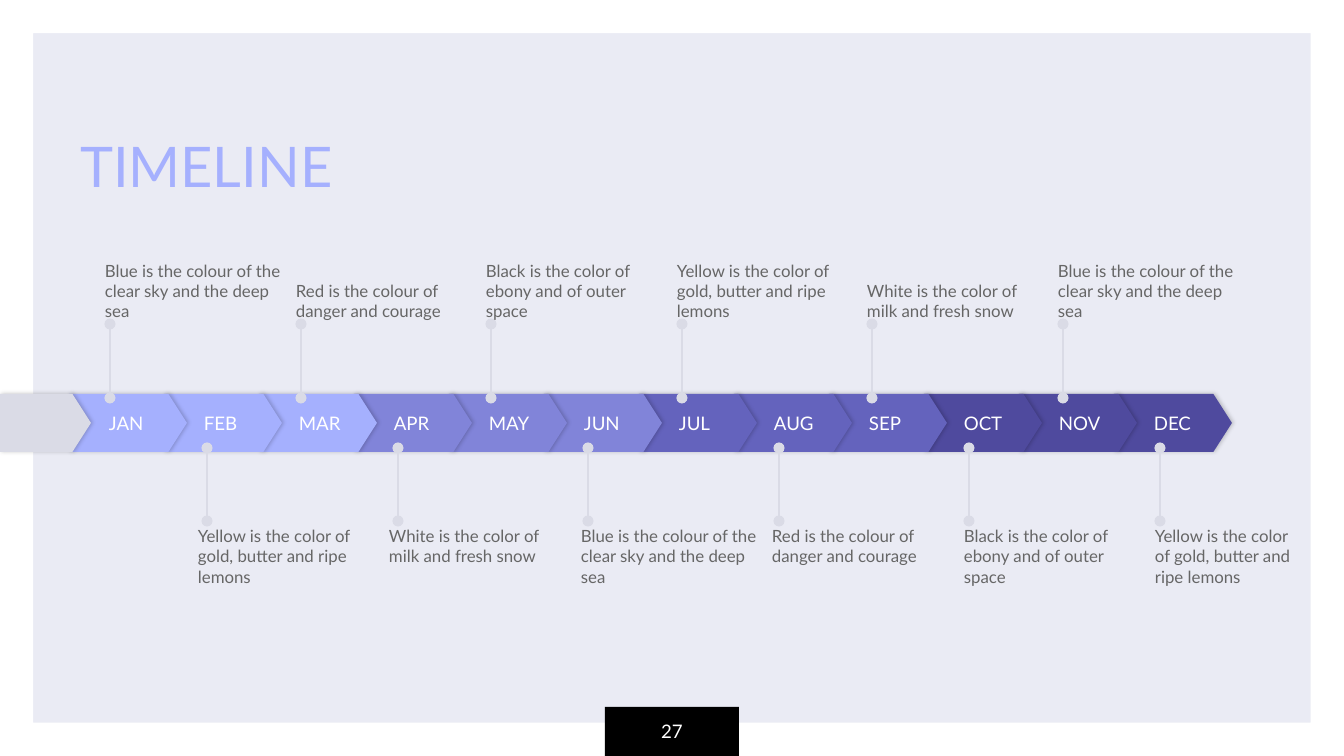
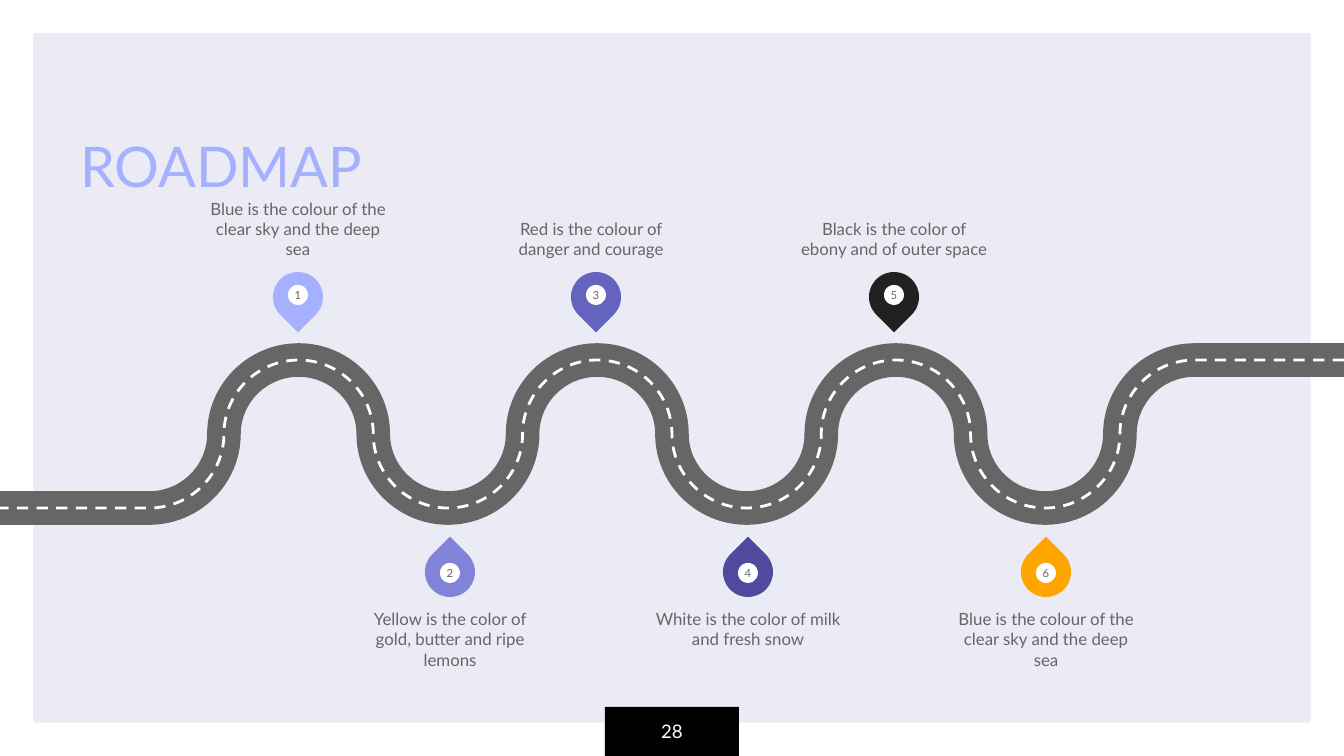
from pptx import Presentation
from pptx.dml.color import RGBColor
from pptx.enum.dml import MSO_LINE
from pptx.enum.shapes import MSO_CONNECTOR, MSO_SHAPE
from pptx.enum.text import MSO_ANCHOR, PP_ALIGN
from pptx.oxml.ns import qn
from pptx.oxml.xmlchemy import OxmlElement
from pptx.util import Emu, Pt

SLIDE_W, SLIDE_H = 1344, 756
PX = 9144000 / SLIDE_W

LAVENDER = RGBColor(0xEA, 0xEB, 0xF4)
SILVER = RGBColor(0xDA, 0xDB, 0xE6)
PERIWINKLE = RGBColor(0xA5, 0xB0, 0xFE)
VIOLET = RGBColor(0x81, 0x84, 0xD9)
INDIGO = RGBColor(0x64, 0x63, 0xBD)
PURPLE = RGBColor(0x4F, 0x4A, 0x9E)
ORANGE = RGBColor(0xFF, 0xA5, 0x00)
INK = RGBColor(0x21, 0x21, 0x21)
GREY = RGBColor(0x66, 0x66, 0x66)
WHITE = RGBColor(0xFF, 0xFF, 0xFF)
BLACK = RGBColor(0x00, 0x00, 0x00)

FONT = "Lato"
LEFT, CENTER = PP_ALIGN.LEFT, PP_ALIGN.CENTER
TOP, MIDDLE, BOTTOM = MSO_ANCHOR.TOP, MSO_ANCHOR.MIDDLE, MSO_ANCHOR.BOTTOM
FRAME, RECT = MSO_SHAPE.FRAME, MSO_SHAPE.RECTANGLE
OVAL, TEAR, PLATE = MSO_SHAPE.OVAL, MSO_SHAPE.TEAR, MSO_SHAPE.PENTAGON
STRAIGHT, DASH = MSO_CONNECTOR.STRAIGHT, MSO_LINE.DASH

BLUE_TEXT = "Blue is the colour of the clear sky and the deep sea"
RED_TEXT = "Red is the colour of danger and courage"
BLACK_TEXT = "Black is the color of ebony and of outer space"
YELLOW_TEXT = "Yellow is the color of gold, butter and ripe lemons"
WHITE_TEXT = "White is the color of milk and fresh snow"

MONTHS = ["JAN", "FEB", "MAR", "APR", "MAY", "JUN",
          "JUL", "AUG", "SEP", "OCT", "NOV", "DEC"]
QUARTER_COLORS = [PERIWINKLE, VIOLET, INDIGO, PURPLE]
UPPER_NOTES = [BLUE_TEXT, RED_TEXT, BLACK_TEXT, YELLOW_TEXT, WHITE_TEXT, BLUE_TEXT]
LOWER_NOTES = [YELLOW_TEXT, WHITE_TEXT, BLUE_TEXT, RED_TEXT, BLACK_TEXT, YELLOW_TEXT]

# Pin colour, note, sideways shift of the note
MILESTONES = [
    (PERIWINKLE, BLUE_TEXT, 0),
    (VIOLET, YELLOW_TEXT, 0),
    (INDIGO, RED_TEXT, -5),
    (PURPLE, WHITE_TEXT, 0),
    (INK, BLACK_TEXT, 0),
    (ORANGE, BLUE_TEXT, 0),
]


def px(value):
    return Emu(round(value * PX))


def spread(first, last, count):
    """Evenly spaced positions from first to last."""
    return [round(first + i * (last - first) / (count - 1)) for i in range(count)]


def write(sp, text, size, color, align=LEFT, anchor=MIDDLE, inset=0, left=None):
    tf = sp.text_frame
    tf.word_wrap = True
    tf.vertical_anchor = anchor
    tf.margin_top = tf.margin_right = tf.margin_bottom = px(inset)
    tf.margin_left = px(inset if left is None else left)
    p = tf.paragraphs[0]
    p.text = text
    p.alignment = align
    p.font.name, p.font.size = FONT, Pt(size)
    p.font.color.rgb = color


def add_text(s, x, y, w, h, text, size, color, **layout):
    sp = s.shapes.add_textbox(px(x), px(y), px(w), px(h))
    write(sp, text, size, color, **layout)


def add_shape(shapes, kind, x, y, w, h, color):
    sp = shapes.add_shape(kind, px(x), px(y), px(w), px(h))
    sp.shadow.inherit = False
    sp.fill.solid()
    sp.fill.fore_color.rgb = color
    sp.line.fill.background()
    return sp


def add_child(parent, tag, **attributes):
    child = OxmlElement(tag)
    for name, value in attributes.items():
        child.set(name, value)
    parent.append(child)
    return child


def base_slide(prs, title, number):
    s = prs.slides.add_slide(prs.slide_layouts[6])
    # White border
    frame = add_shape(s.shapes, FRAME, 0, 0, SLIDE_W, SLIDE_H, WHITE)
    frame.adjustments[0] = 0.044
    # Page number tab
    tab = add_shape(s.shapes, RECT, 605, 707, 134, 49, BLACK)
    write(tab, number, 10, WHITE, align=CENTER)
    # Title
    add_text(s, 67, 86, 755, 126, title, 30, PERIWINKLE, anchor=BOTTOM, inset=13)
    return s


def add_plate(s, x, y, w, color):
    """Arrow-shaped step with a soft shadow."""
    sp = add_shape(s.shapes, PLATE, x, y, w, 58, color)
    sp.adjustments[0] = 0.32
    effects = sp._element.spPr.find(qn("a:effectLst"))
    shadow = add_child(effects, "a:outerShdw", blurRad=str(Pt(2.2)),
                       dist=str(Pt(0.8)), dir="0", algn="bl", rotWithShape="0")
    tint = add_child(shadow, "a:srgbClr", val=str(BLACK))
    add_child(tint, "a:alpha", val="20000")
    return sp


def add_stem(s, x, y1, y2):
    """Thin line with a dot at both ends."""
    c = s.shapes.add_connector(STRAIGHT, px(x), px(y1), px(x), px(y2))
    c.line.color.rgb = SILVER
    c.line.width = Pt(0.75)
    ln = c.line._get_or_add_ln()
    add_child(ln, "a:headEnd", type="oval")
    add_child(ln, "a:tailEnd", type="oval")
    add_child(c._element.spPr, "a:effectLst")


def timeline(s, x, y, w):
    # Month band, last month first so that each tip overlaps the next step
    lefts = spread(69, 1114, len(MONTHS))
    for i in reversed(range(len(MONTHS))):
        sp = add_plate(s, x + lefts[i], y + 151, 118, QUARTER_COLORS[i // 3])
        write(sp, MONTHS[i], 10, WHITE, left=40)
    add_plate(s, x, y + 151, 91, SILVER)

    # Notes above and below: texts, stem ends, note top, first and last positions
    rows = [
        (UPPER_NOTES, (155, 81), 0, BOTTOM, (110, 1063), (105, 1058)),
        (LOWER_NOTES, (278, 205), 283, TOP, (207, 1160), (198, 1155)),
    ]
    for notes, (start, end), top, anchor, stems, texts in rows:
        count = len(notes)
        for note, stem, left in zip(notes, spread(*stems, count), spread(*texts, count)):
            add_stem(s, x + stem, y + start, y + end)
            add_text(s, x + left, y + top, min(180, w - left), 78,
                     note, 9, GREY, anchor=anchor)


def road_line(s, x, y, w, h, color, width):
    """Winding line of quarter turns, drawn from right to left."""
    r, bend = w / 18, 0.55
    levels = [y, y + h / 2, y + h, y + h / 2]
    points = [(x + 16 * r, y)]
    for i in range(14):
        x1, y1 = x + (16 - i) * r, levels[i % 4]
        x2, y2 = x1 - r, levels[(i + 1) % 4]
        if i % 2 == 0:
            points += [(x1 - bend * r, y1), (x2, y2 - bend * (y2 - y1))]
        else:
            points += [(x1, y1 + bend * (y2 - y1)), (x2 + bend * r, y2)]
        points.append((x2, y2))
    points.append((x, y + h))

    builder = s.shapes.build_freeform(px(x + w), px(y))
    builder.add_line_segments([(px(a), px(b)) for a, b in points], close=False)
    sp = builder.convert_to_shape()
    sp.shadow.inherit = False
    sp.fill.background()
    sp.line.color.rgb = color
    sp.line.width = Pt(width)

    # Each three points between the straight ends become one curve
    steps = list(sp._element.iter(qn("a:lnTo")))[1:-1]
    for i in range(0, len(steps), 3):
        curve = OxmlElement("a:cubicBezTo")
        steps[i].addprevious(curve)
        for step in steps[i:i + 3]:
            curve.append(step[0])
            step.getparent().remove(step)
    return sp


def add_pin(s, x, y, number, color, rotation, disc_top):
    shapes = s.shapes.add_group_shape().shapes
    drop = add_shape(shapes, TEAR, x, y, 50, 50, color)
    drop.rotation = rotation
    disc = add_shape(shapes, OVAL, x + 15, y + disc_top, 20, 20, WHITE)
    write(disc, number, 6, GREY, align=CENTER)


def roadmap(s, x, y, w):
    # Road and its dashed centre line
    road_line(s, x, y + 179, w, 148, GREY, 18)
    road_line(s, x, y + 179, w, 148, WHITE, 1.5).line.dash_style = DASH

    # Pins and notes, odd above the road and even below
    for i, (color, note, shift) in enumerate(MILESTONES):
        turn, below = divmod(i, 2)
        left = x + 298 * turn + (425 if below else 273)
        if below:
            pin_top, rotation, disc_top, note_top, anchor = 366, 315, 16, 428, TOP
        else:
            pin_top, rotation, disc_top, note_top, anchor = 91, 135, 13, 0, BOTTOM
        add_pin(s, left, y + pin_top, str(i + 1), color, rotation, disc_top)
        add_text(s, left - 70 + shift, y + note_top, 190, 78,
                 note, 9, GREY, align=CENTER, anchor=anchor)


def main():
    prs = Presentation()
    prs.slide_width, prs.slide_height = px(SLIDE_W), px(SLIDE_H)
    background = prs.slide_master.background.fill
    background.solid()
    background.fore_color.rgb = LAVENDER

    timeline(base_slide(prs, "TIMELINE", "27"), 0, 243, 1304)
    roadmap(base_slide(prs, "ROADMAP", "28"), 0, 181, SLIDE_W)
    prs.save("out.pptx")


if __name__ == "__main__":
    main()
